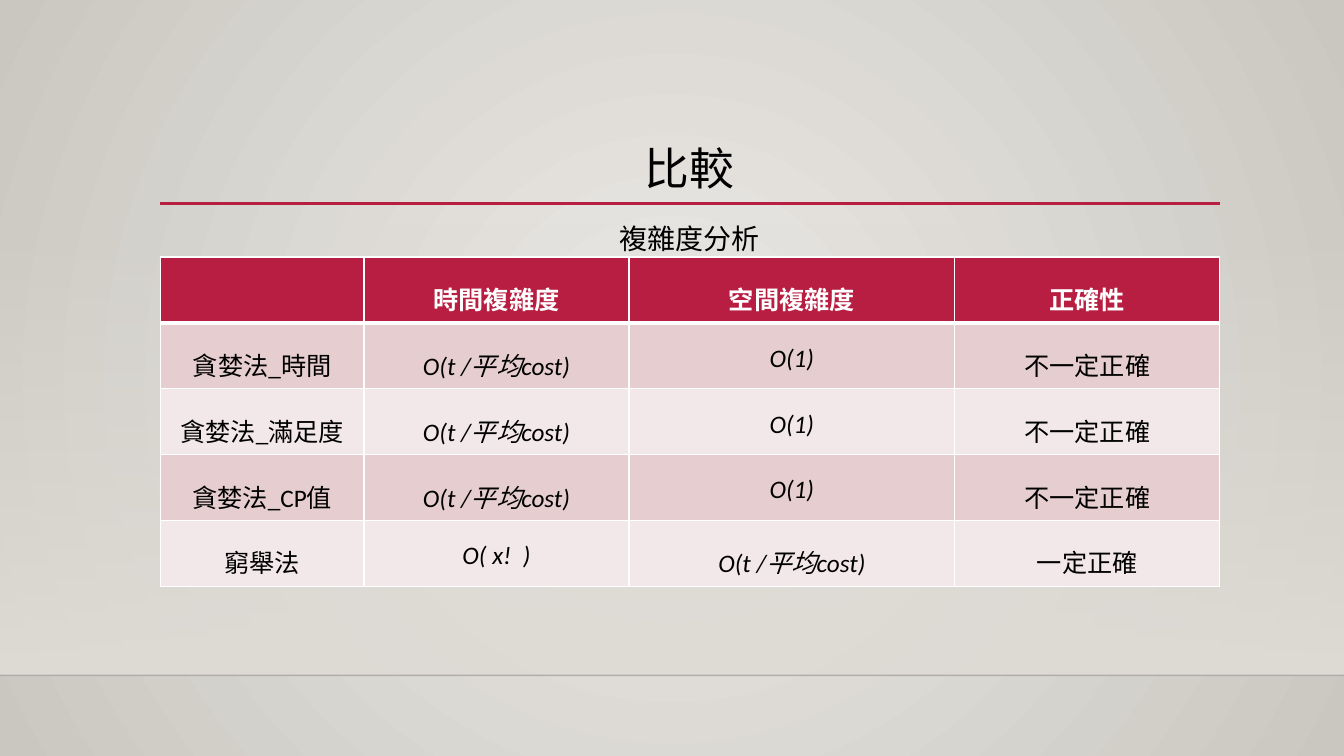
import dataclasses
import typing

import pptx
import pptx.dml.color
import pptx.enum.shapes
import pptx.enum.text
import pptx.oxml
import pptx.oxml.ns
import pptx.util

WIDE = pptx.util.Inches(13.333)
HIGH = pptx.util.Inches(7.5)
FONT = "Calibri"
RED, WHITE, BLACK, SAND = "B71E42", "FFFFFF", "000000", "DFDBD5"
ROSE, BLUSH = "E6CDCF", "F3E8E9"
LEFT, SPAN = 11.93, 78.75
COLS = (15.15, 19.73, 24.23, 19.73)
ROW = 8.71
COST = "O(t /平均cost)"
UNSURE = "不一定正確"
GRID = (
    ("", "時間複雜度", "空間複雜度", "正確性"),
    ("貪婪法_時間", COST, "O(1)", UNSURE),
    ("貪婪法_滿足度", COST, "O(1)", UNSURE),
    ("貪婪法_CP值", COST, "O(1)", UNSURE),
    ("窮舉法", "O( x!  )", COST, "一定正確"),
)


@dataclasses.dataclass(frozen=True)
class Box:
    left: float
    top: float
    width: float
    height: float

    def spots(self) -> tuple[int, int, int, int]:
        return across(self.left), down(self.top), across(self.width), down(self.height)


@dataclasses.dataclass(frozen=True)
class Rule:
    left: float
    right: float
    top: float
    tint: str
    weight: float
    alpha: int = 100


RULES = (
    Rule(0, 100, 89.33, "000001", 1, 20),
    Rule(LEFT, 90.75, 26.93, RED, 2.5),
)


def across(share: float) -> int:
    return round(WIDE * share / 100)


def down(share: float) -> int:
    return round(HIGH * share / 100)


def tone(code: str) -> pptx.dml.color.RGBColor:
    return pptx.dml.color.RGBColor.from_string(code)


def node(text: str) -> typing.Any:
    spaces = pptx.oxml.ns.nsdecls("a")
    return pptx.oxml.parse_xml(text.replace(" ", f" {spaces} ", 1))


def fade(fill: typing.Any, start: str, end: str) -> None:
    fill.gradient()
    for stop, code, spot in zip(fill.gradient_stops, (start, end), (0, 1)):
        stop.color.rgb = tone(code)
        stop.position = spot


def dim(root: typing.Any, alpha: int) -> None:
    tint = next(root.iter(pptx.oxml.ns.qn("a:srgbClr")))
    tint.append(node(f'<a:alpha val="{alpha * 1000}" />'))


def write(frame: typing.Any, text: str, size: float, code: str, space: float,
          bold: bool = False, slant: bool = False) -> None:
    frame.text = text
    line = frame.paragraphs[0]
    line.alignment = pptx.enum.text.PP_ALIGN.CENTER
    line.line_spacing = space
    for run in line.runs:
        run.font.name = FONT
        run.font.size = pptx.util.Pt(size)
        run.font.color.rgb = tone(code)
        run.font.bold = bold
        run.font.italic = slant


def place(shape: typing.Any, box: Box) -> None:
    shape.left, shape.top, shape.width, shape.height = box.spots()


def draw_back(slide: typing.Any) -> None:
    fade(slide.background.fill, "ECEAE7", "CAC7C1")
    grad = next(slide.element.iter(pptx.oxml.ns.qn("a:gradFill")))
    for lin in grad.findall(pptx.oxml.ns.qn("a:lin")):
        grad.replace(lin, node(
            '<a:path path="circle"><a:fillToRect l="50000" t="50000" r="50000" b="50000"/></a:path>'))
    band = slide.shapes.add_shape(
        pptx.enum.shapes.MSO_SHAPE.RECTANGLE, *Box(0, 29.47, 100, 59.86).spots())
    band.shadow.inherit = False
    band.line.fill.background()
    fade(band.fill, SAND, SAND)
    band.fill.gradient_angle = 270
    dim(band.element.spPr, 0)


def draw_rule(slide: typing.Any, rule: Rule) -> None:
    line = slide.shapes.add_connector(
        pptx.enum.shapes.MSO_CONNECTOR.STRAIGHT,
        across(rule.left), down(rule.top), across(rule.right), down(rule.top))
    line.line.color.rgb = tone(rule.tint)
    line.line.width = pptx.util.Pt(rule.weight)
    if rule.alpha < 100:
        dim(line.element.spPr, rule.alpha)
    line.element.spPr.append(node("<a:effectLst />"))


def edge(cell: typing.Any, top: float, base: float) -> None:
    props = cell._tc.get_or_add_tcPr()
    for spot, (side, weight) in enumerate(zip("LRTB", (1, 1, top, base))):
        props.insert(spot, node(
            f'<a:ln{side} w="{pptx.util.Pt(weight)}"><a:solidFill>'
            f'<a:srgbClr val="{WHITE}"/></a:solidFill></a:ln{side}>'))


def draw_grid(slide: typing.Any) -> None:
    box = Box(LEFT, 34, SPAN, ROW * len(GRID))
    table = slide.shapes.add_table(len(GRID), len(COLS), *box.spots()).table
    for col, share in zip(table.columns, COLS):
        col.width = across(share)
    for r, words in enumerate(GRID):
        table.rows[r].height = down(ROW)
        head = r == 0
        for c, text in enumerate(words):
            cell = table.cell(r, c)
            cell.fill.solid()
            cell.fill.fore_color.rgb = tone(RED if head else (BLUSH, ROSE)[r % 2])
            write(cell.text_frame, text, 18, WHITE if head else BLACK, 1.5,
                  bold=head, slant=not head and c in (1, 2))
            edge(cell, 3 if r == 1 else 1, 3 if head else 1)


def draw_text(slide: typing.Any) -> None:
    title = slide.shapes.title
    place(title, Box(LEFT, 18.13, SPAN, 8.93))
    write(title.text_frame, "比較", 32, BLACK, 0.9)
    title.text_frame.vertical_anchor = pptx.enum.text.MSO_ANCHOR.MIDDLE
    note = slide.shapes.add_textbox(*Box(LEFT, 28.67, SPAN, 5.87).spots())
    note.text_frame.word_wrap = True
    write(note.text_frame, "複雜度分析", 20, BLACK, 1.0)


def main() -> None:
    deck = pptx.Presentation()
    deck.slide_width, deck.slide_height = WIDE, HIGH
    slide = deck.slides.add_slide(deck.slide_layouts.get_by_name("Title Only"))
    draw_back(slide)
    for rule in RULES:
        draw_rule(slide, rule)
    draw_grid(slide)
    draw_text(slide)
    deck.save("out.pptx")


main()
